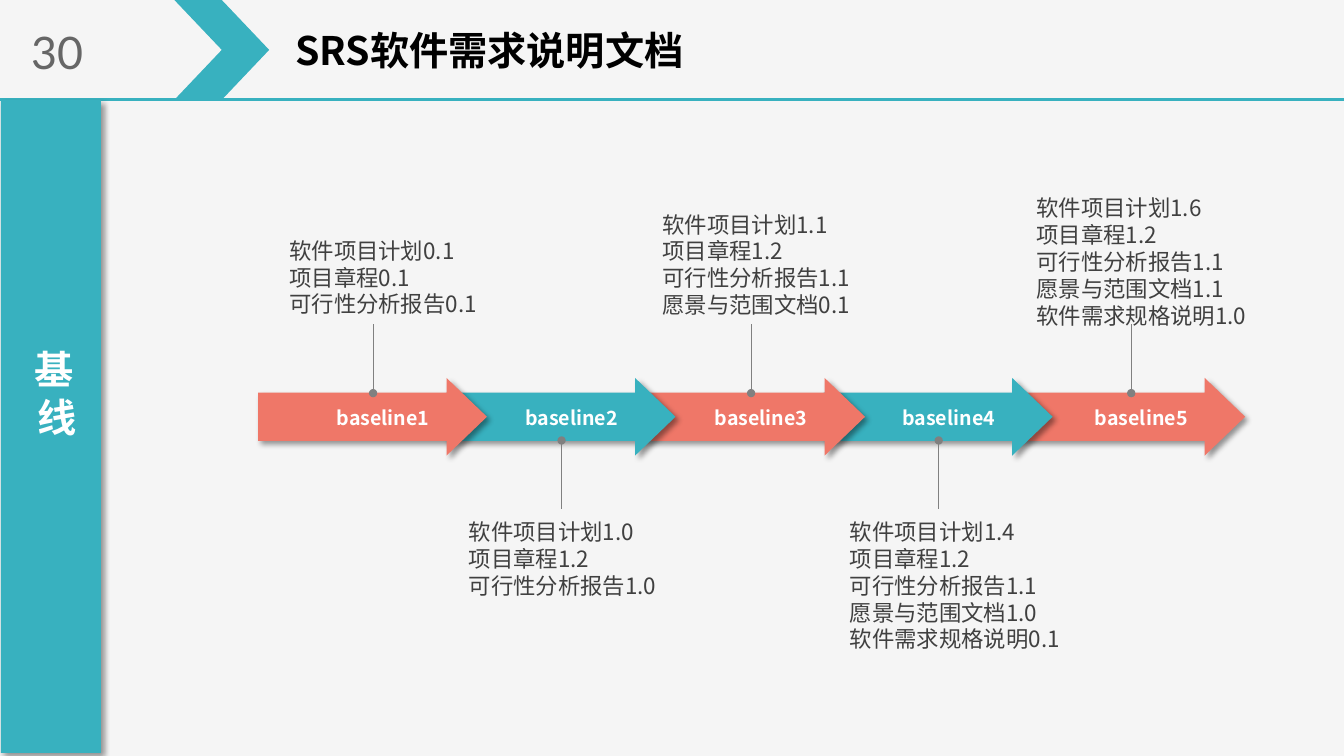
from pptx import Presentation
from pptx.dml.color import RGBColor
from pptx.enum.shapes import MSO_CONNECTOR as Line, MSO_SHAPE as Shape
from pptx.enum.text import MSO_AUTO_SIZE as Fit, PP_ALIGN as Align
from pptx.oxml import parse_xml
from pptx.oxml.ns import nsdecls, qn
from pptx.util import Inches, Pt

PAGE = "30"
TITLE = "SRS软件需求说明文档"
SIDE = "基线"
PLAN, CHARTER, STUDY = "软件项目计划", "项目章程", "可行性分析报告"
VISION, SPEC = "愿景与范围文档", "软件需求规格说明"
# name, arrow left, note left, note top, documents with versions
STEPS = [
    ("baseline1", 2.56, 2.87, 2.35,
     [(PLAN, "0.1"), (CHARTER, "0.1"), (STUDY, "0.1")]),
    ("baseline2", 4.43, 4.65, 5.14,
     [(PLAN, "1.0"), (CHARTER, "1.2"), (STUDY, "1.0")]),
    ("baseline3", 6.31, 6.57, 2.09,
     [(PLAN, "1.1"), (CHARTER, "1.2"), (STUDY, "1.1"), (VISION, "0.1")]),
    ("baseline4", 8.17, 8.43, 5.14,
     [(PLAN, "1.4"), (CHARTER, "1.2"), (STUDY, "1.1"), (VISION, "1.0"),
      (SPEC, "0.1")]),
    ("baseline5", 10.08, 10.28, 1.93,
     [(PLAN, "1.6"), (CHARTER, "1.2"), (STUDY, "1.1"), (VISION, "1.1"),
      (SPEC, "1.0")]),
]

THEME = {
    "back": "F5F5F5", "teal": "38B1BF", "coral": "EF7768", "stem": "808080",
    "page": "666666", "title": "000000", "note": "404040", "white": "FFFFFF",
    "cjk": "Noto Sans CJK SC", "latin": "Lato",
    "page_size": 32, "title_size": 28, "note_size": 16, "label_size": 14,
}
WIDE, HIGH = 13.33, 7.5
BAR = 0.99
ARROW = (2.27, 0.77)
ARROW_TOP = 3.75
STEM_DX, LABEL_DX = 1.14, 1.24
LABEL_W, LABEL_TOP = 1.4, 3.96
UPPER, LOWER = (3.9, 3.21), (4.37, 5.05)

deck = Presentation()
deck.slide_width, deck.slide_height = Inches(WIDE), Inches(HIGH)
slide = deck.slides.add_slide(deck.slide_layouts[6])


def paint(name):
    return RGBColor.from_string(THEME[name])


def add_text(lines, box, size, color, font="cjk", bold=False,
             align=Align.LEFT, inset=(0.1, 0.05), wrap=True, track=0):
    item = slide.shapes.add_textbox(*map(Inches, box))
    frame = item.text_frame
    frame.word_wrap = wrap
    frame.auto_size = Fit.SHAPE_TO_FIT_TEXT
    frame.margin_left = frame.margin_right = Inches(inset[0])
    frame.margin_top = frame.margin_bottom = Inches(inset[1])
    for i, line in enumerate(lines):
        para = frame.paragraphs[0] if i == 0 else frame.add_paragraph()
        para.alignment = align
        run = para.add_run()
        run.text = line
        run.font.size = Pt(THEME[size])
        run.font.bold = bold
        run.font.name = THEME[font]
        run.font.color.rgb = paint(color)
        props = run.font._element
        props.find(qn("a:latin")).addnext(parse_xml(
            f'<a:ea {nsdecls("a")} typeface="{THEME["cjk"]}"/>'))
        if track:
            props.set("spc", str(track * 100))


def add_block(kind, box, color, shade=True):
    item = slide.shapes.add_shape(kind, *map(Inches, box))
    item.shadow.inherit = False
    item.fill.solid()
    item.fill.fore_color.rgb = paint(color)
    item.line.fill.background()
    if shade:
        effects = item._element.spPr.find(qn("a:effectLst"))
        effects.append(parse_xml(
            f'<a:outerShdw {nsdecls("a")} blurRad="{Pt(4)}" dist="{Pt(3)}" '
            'dir="2700000" algn="tl" rotWithShape="0"><a:srgbClr '
            'val="000000"><a:alpha val="40000"/></a:srgbClr></a:outerShdw>'))
    return item


def add_line(start, end, color, width, dot=False):
    item = slide.shapes.add_connector(
        Line.STRAIGHT, *map(Inches, (*start, *end)))
    item.line.color.rgb = paint(color)
    item.line.width = Pt(width)
    if dot:
        item.line._get_or_add_ln().append(
            parse_xml(f'<a:headEnd {nsdecls("a")} type="oval"/>'))
    item._element.spPr.append(parse_xml(f'<a:effectLst {nsdecls("a")}/>'))


def add_step(index, name, left, note_x, note_y, docs):
    add_text([name], (left + LABEL_DX - LABEL_W / 2, LABEL_TOP, LABEL_W, 0.37),
             "label_size", "white", bold=True, align=Align.CENTER,
             inset=(0.13, 0.07))
    x = left + STEM_DX
    near, far = LOWER if index % 2 else UPPER
    add_line((x, near), (x, far), "stem", 0.75, dot=True)
    add_text([doc + version for doc, version in docs],
             (note_x, note_y, 2.89, 0.27 * len(docs)),
             "note_size", "note", inset=(0, 0))


slide.background.fill.solid()
slide.background.fill.fore_color.rgb = paint("back")
add_line((0, BAR), (WIDE, BAR), "teal", 2.25)
add_block(Shape.CHEVRON, (1.73, 0, 0.94, BAR), "teal", shade=False)
add_text([PAGE], (0.21, 0.2, 0.79, 0.64), "page_size", "page",
         font="latin", wrap=False)
add_text([TITLE], (2.83, 0.21, 4.46, 0.57), "title_size", "title", bold=True)
add_block(Shape.RECTANGLE, (0.01, BAR, 0.99, 6.48), "teal")
add_text([SIDE], (0.12, 3.36, 0.77, 1.08), "title_size", "white", bold=True,
         align=Align.RIGHT, inset=(0.13, 0.07), track=2)

# Each arrow tip lies over the tail of the next one
for index, step in reversed(list(enumerate(STEPS))):
    arrow = add_block(Shape.RIGHT_ARROW, (step[1], ARROW_TOP, *ARROW),
                      "teal" if index % 2 else "coral")
    arrow.adjustments[0] = 0.62
    arrow.adjustments[1] = 0.52
for index, step in enumerate(STEPS):
    add_step(index, *step)

deck.save("out.pptx")
